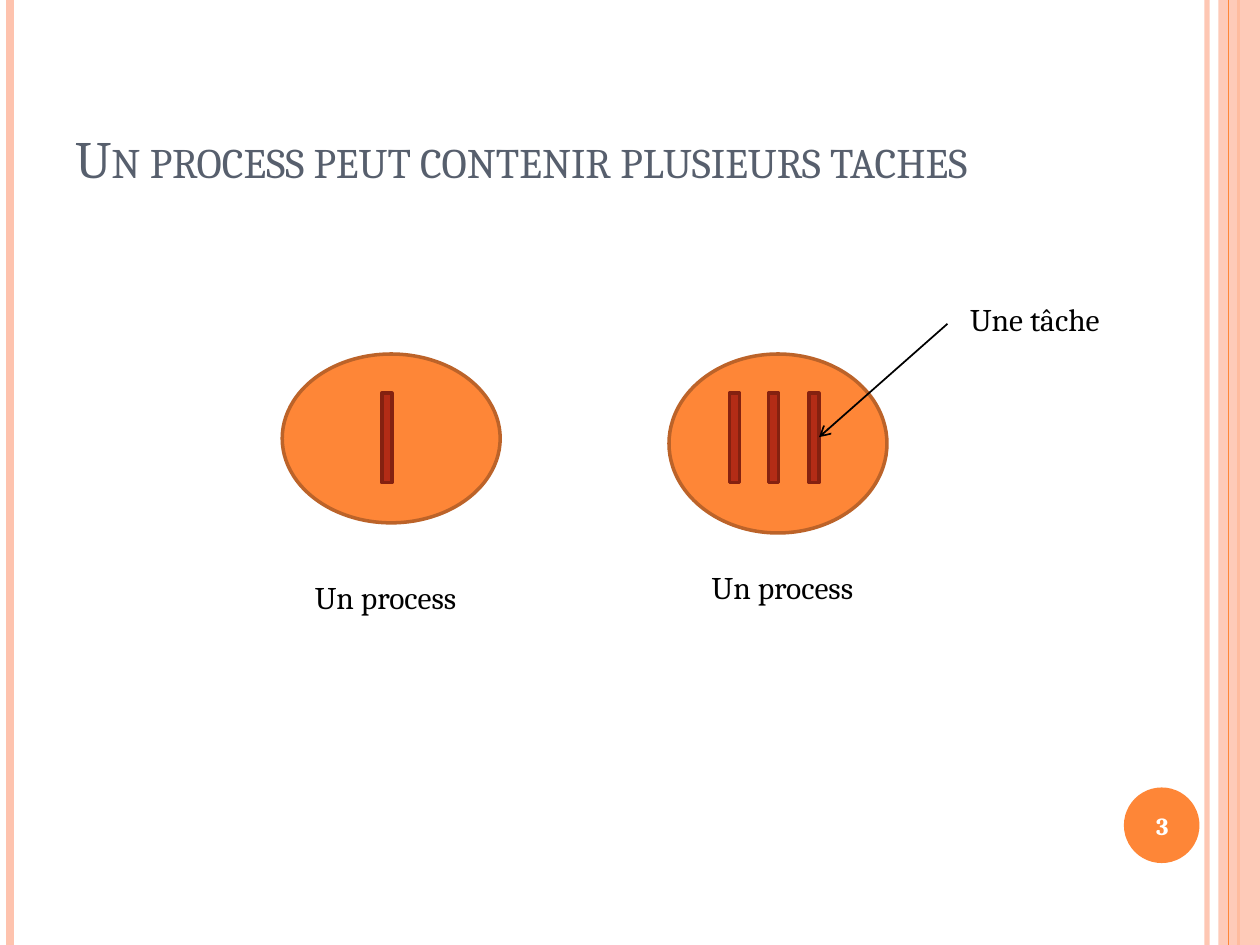
from lxml import etree
from pptx import Presentation
from pptx.dml.color import RGBColor
from pptx.enum.shapes import MSO_CONNECTOR, MSO_SHAPE
from pptx.enum.text import MSO_ANCHOR, PP_ALIGN
from pptx.oxml.ns import qn
from pptx.util import Inches, Pt

STRAIGHT = MSO_CONNECTOR.STRAIGHT
OVAL = MSO_SHAPE.OVAL
RECTANGLE = MSO_SHAPE.RECTANGLE
TOP, MIDDLE, BOTTOM = MSO_ANCHOR.TOP, MSO_ANCHOR.MIDDLE, MSO_ANCHOR.BOTTOM
LEFT, CENTER = PP_ALIGN.LEFT, PP_ALIGN.CENTER

FONT = "Cambria"
ORANGE = RGBColor(0xFE, 0x86, 0x37)
DARK_ORANGE = RGBColor(0xBC, 0x63, 0x29)
PEACH = RGBColor(0xFE, 0xC3, 0xAE)
RED = RGBColor(0xB3, 0x2C, 0x16)
DARK_RED = RGBColor(0x84, 0x21, 0x10)
SLATE = RGBColor(0x57, 0x5F, 0x6D)
BLACK = RGBColor(0, 0, 0)
WHITE = RGBColor(0xFF, 0xFF, 0xFF)

PAGE_WIDTH, PAGE_HEIGHT = 10, 7.5
TASK_TOP, TASK_WIDTH, TASK_HEIGHT = 3.12, 0.08, 0.71


def set_opacity(element, percent):
    color = element.find(".//" + qn("a:srgbClr"))
    etree.SubElement(color, qn("a:alpha"), val=str(percent * 1000))


def add_line(page, start, end, color, width):
    line = page.shapes.add_connector(STRAIGHT, *map(Inches, start + end))
    line.line.color.rgb = color
    line.line.width = Pt(width)
    etree.SubElement(line._element.spPr, qn("a:effectLst"))
    return line


def add_stripe(page, left, color, width):
    return add_line(page, (left, 0), (left, PAGE_HEIGHT), color, width)


def add_arrow(page, start, end):
    arrow = add_line(page, start, end, BLACK, 1)
    etree.SubElement(arrow.line._get_or_add_ln(), qn("a:tailEnd"), type="arrow")


def add_figure(page, kind, bounds, fill, outline=None):
    figure = page.shapes.add_shape(kind, *map(Inches, bounds))
    figure.shadow.inherit = False
    figure.fill.solid()
    figure.fill.fore_color.rgb = fill
    if outline is None:
        figure.line.fill.background()
    else:
        figure.line.color.rgb = outline
        figure.line.width = Pt(2)
    return figure


def add_text(page, bounds, text, size, color, anchor=TOP, align=LEFT,
             wrap=True, bold=False):
    box = page.shapes.add_textbox(*map(Inches, bounds))
    frame = box.text_frame
    frame.word_wrap = wrap
    frame.vertical_anchor = anchor
    para = frame.paragraphs[0]
    para.alignment = align
    span = para.add_run()
    span.text = text
    span.font.name = FONT
    span.font.size = Pt(size)
    span.font.bold = bold
    span.font.color.rgb = color
    return span


def add_label(page, bounds, text):
    add_text(page, bounds, text, 18, BLACK, wrap=False)


def add_process(page, bounds, task_lefts):
    add_figure(page, OVAL, bounds, ORANGE, DARK_ORANGE)
    for left in task_lefts:
        task = (left, TASK_TOP, TASK_WIDTH, TASK_HEIGHT)
        add_figure(page, RECTANGLE, task, RED, DARK_RED)


def add_frame(page):
    set_opacity(add_stripe(page, 9.58, PEACH, 3)._element, 93)
    add_stripe(page, 0.08, PEACH, 4.5)
    add_stripe(page, 9.83, ORANGE, 1.5)
    band = add_figure(page, RECTANGLE, (9.67, 0, 0.33, PAGE_HEIGHT), PEACH)
    set_opacity(band._element, 87)
    add_stripe(page, 9.75, ORANGE, 0.75)


def add_page_number(page, number):
    add_figure(page, OVAL, (8.92, 6.25, 0.6, 0.6), ORANGE)
    add_text(page, (8.89, 6.27, 0.67, 0.57), number, 14, WHITE,
             anchor=MIDDLE, align=CENTER, bold=True)


def main():
    deck = Presentation()
    deck.slide_width = Inches(PAGE_WIDTH)
    deck.slide_height = Inches(PAGE_HEIGHT)
    page = deck.slides.add_slide(deck.slide_layouts[6])

    add_frame(page)
    title = add_text(page, (0.5, 0.3, 8.17, 1.25),
                     "Un process peut contenir plusieurs taches",
                     30, SLATE, anchor=BOTTOM)
    title.font._element.set("cap", "small")

    add_process(page, (2.24, 2.81, 1.73, 1.34), [3.03])
    add_process(page, (5.31, 2.81, 1.73, 1.42), [5.79, 6.1, 6.42])
    add_label(page, (2.4, 4.54, 1.49, 0.4), "Un process")
    add_label(page, (5.55, 4.46, 1.49, 0.4), "Un process")

    add_arrow(page, (7.52, 2.57), (6.5, 3.47))
    add_label(page, (7.6, 2.33, 1.39, 0.4), "Une tâche")
    add_page_number(page, "3")
    deck.save("out.pptx")


if __name__ == "__main__":
    main()
